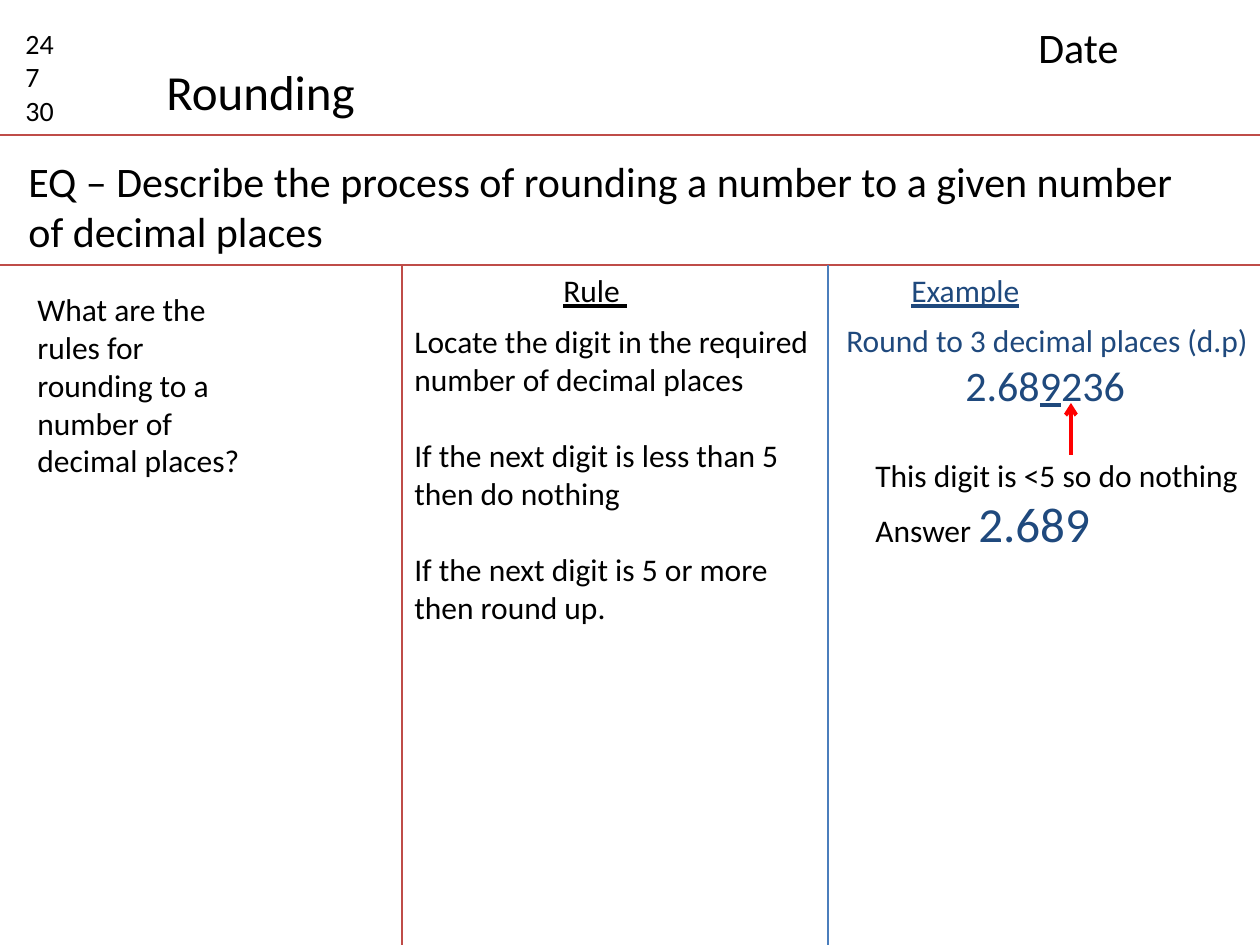
from lxml import etree
from pptx import Presentation
from pptx import util as u
from pptx.dml.color import RGBColor
from pptx.enum import shapes, text
from pptx.oxml.ns import qn

PX = 914400 // 126
WIDE, HIGH = 1260, 945
COLORS = {"ink": "000000", "navy": "1F497D", "rust": "BF4C48",
          "blue": "4B7EBC", "red": "FF0000"}

TOP, MID = 135, 265
LEFT, RIGHT = 402, 828

RULES = [
    (0, TOP, WIDE, TOP, "rust"),
    (0, MID, WIDE, MID, "rust"),
    (LEFT, MID, LEFT, HIGH, "rust"),
    (RIGHT, MID, RIGHT, HIGH, "blue"),
]
ARROW = (1071, 455, 1071, 403, "red")

NOTES = [
    ((13, 20, 79, 115), ["24", "7", "30"], dict(size=16)),
    ((154, 55, 217, 72), ["Rounding"], dict(size=28)),
    ((1026, 15, 218, 63), ["Date"], dict(size=24)),
    ((16, 149, 1188, 115),
     ["EQ – Describe the process of rounding a number to a given number of decimal places"],
     dict(size=24)),
    ((25, 284, 236, 204),
     ["What are the rules for rounding to a number of decimal places?"], {}),
    ((LEFT, 316, 430, 318),
     ["Locate the digit in the required number of decimal places",
      "If the next digit is less than 5 then do nothing",
      "If the next digit is 5 or more then round up."], dict(gap=22)),
    ((551, MID, 110, 50), [[("Rule ", dict(line=True))]], {}),
    ((899, MID, 150, 50), [[("Example", dict(line=True))]], dict(color="navy")),
    ((834, 315, 432, 140), ["Round to 3 decimal places (d.p)"], dict(color="navy")),
    ((834, 353, 432, 65),
     [[("2.68", {}), ("9", dict(line=True)), ("236 ", {})]],
     dict(size=24, color="navy", center=True)),
    ((863, 450, 393, 111),
     ["This digit is <5 so do nothing",
      [("Answer ", {}), ("2.689", dict(size=28, color="navy"))]], {}),
]


def rgb(name):
    return RGBColor.from_string(COLORS[name])


def write(slide, box, paras, size=18, color="ink", gap=0, center=False):
    frame = slide.shapes.add_textbox(*(n * PX for n in box)).text_frame
    frame.word_wrap = True
    for i, runs in enumerate(paras):
        para = frame.paragraphs[0] if i == 0 else frame.add_paragraph()
        if i and gap:
            para.space_before = u.Pt(gap)
        if center:
            para.alignment = text.PP_ALIGN.CENTER
        if isinstance(runs, str):
            runs = [(runs, {})]
        for words, form in runs:
            run = para.add_run()
            run.text = words
            font = run.font
            font.name = "Calibri"
            font.size = u.Pt(form.get("size", size))
            font.color.rgb = rgb(form.get("color", color))
            if form.get("line"):
                font.underline = True


def draw(slide, x1, y1, x2, y2, color, width=0.75, arrow=False):
    line = slide.shapes.add_connector(
        shapes.MSO_CONNECTOR.STRAIGHT, *(n * PX for n in (x1, y1, x2, y2)))
    line.line.color.rgb = rgb(color)
    line.line.width = u.Pt(width)
    props = line._element.spPr
    if arrow:
        etree.SubElement(props.find(qn("a:ln")), qn("a:tailEnd"), type="arrow")
    etree.SubElement(props, qn("a:effectLst"))


def main():
    deck = Presentation()
    deck.slide_width, deck.slide_height = WIDE * PX, HIGH * PX
    slide = deck.slides.add_slide(deck.slide_layouts[6])
    for rule in RULES:
        draw(slide, *rule)
    for box, paras, form in NOTES:
        write(slide, box, paras, **form)
    draw(slide, *ARROW, width=2.25, arrow=True)
    deck.save("out.pptx")


if __name__ == "__main__":
    main()
